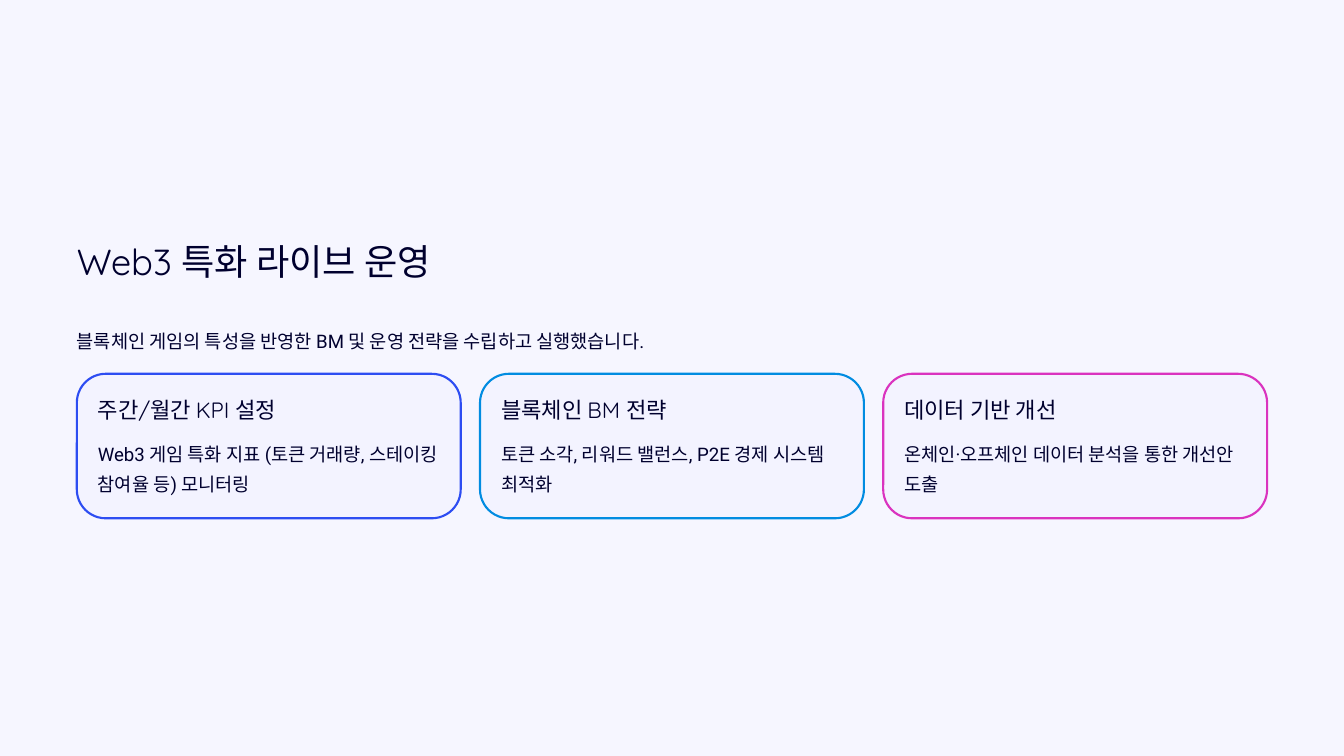
from lxml import etree
from pptx import Presentation
from pptx.dml.color import RGBColor
from pptx.enum.shapes import MSO_SHAPE
from pptx.enum.text import MSO_ANCHOR, PP_ALIGN
from pptx.oxml.ns import qn
from pptx.util import Inches, Pt

ROUNDED = MSO_SHAPE.ROUNDED_RECTANGLE
TOP = MSO_ANCHOR.TOP
LEFT = PP_ALIGN.LEFT

HEADING_FONT = "Quicksand"
BODY_FONT = "Roboto"
INK = "00002E"
PAGE = "F6F6FF"
CARD = "F3F3FF"

MARGIN = 0.915
CONTENT_W = 14.17
CARD_TOP = 4.45
CARD_STEP = 4.8
CARD_W, CARD_H = 4.57, 1.72
PAD = 0.25

CARDS = [
    ("주간/월간 KPI 설정",
     "Web3 게임 특화 지표 (토큰 거래량, 스테이킹 참여율 등) 모니터링", "2D4DF2"),
    ("블록체인 BM 전략",
     "토큰 소각, 리워드 밸런스, P2E 경제 시스템 최적화", "018CE1"),
    ("데이터 기반 개선",
     "온체인·오프체인 데이터 분석을 통한 개선안 도출", "DA33BF"),
]


def color(value):
    return RGBColor.from_string(value)


def add_text(s, text, x, y, w, h, *, size, spacing, font=BODY_FONT):
    """Add a one-paragraph text box without insets; spacing is the line pitch in points."""
    tf = s.shapes.add_textbox(Inches(x), Inches(y), Inches(w), Inches(h)).text_frame
    tf.margin_left = tf.margin_right = tf.margin_top = tf.margin_bottom = 0
    tf.word_wrap = True
    tf.vertical_anchor = TOP
    p = tf.paragraphs[0]
    p.alignment = LEFT
    p.line_spacing = Pt(spacing)
    r = p.add_run()
    r.text = text
    r.font.name = font
    r.font.size = Pt(size)
    r.font.color.rgb = color(INK)


def set_opacity(sp, percent):
    fill = sp.fill._xPr.find(qn("a:solidFill"))
    etree.SubElement(fill[0], qn("a:alpha"), val=str(percent * 1000))


def add_card(s, x, title, body, accent):
    sp = s.shapes.add_shape(ROUNDED, Inches(x), Inches(CARD_TOP),
                            Inches(CARD_W), Inches(CARD_H))
    sp.adjustments[0] = 0.2
    sp.shadow.inherit = False
    sp.fill.solid()
    sp.fill.fore_color.rgb = color(CARD)
    set_opacity(sp, 75)
    sp.line.color.rgb = color(accent)
    sp.line.width = Pt(1.8)
    add_text(s, title, x + PAD, CARD_TOP + PAD, 2.69, 0.34,
             size=19, spacing=24, font=HEADING_FONT)
    add_text(s, body, x + PAD, 5.18, 4.06, 0.73, size=16, spacing=26)


def main():
    prs = Presentation()
    prs.slide_width, prs.slide_height = Inches(16), Inches(9)
    s = prs.slides.add_slide(prs.slide_layouts[6])
    s.background.fill.solid()
    s.background.fill.fore_color.rgb = color(PAGE)

    add_text(s, "Web3 특화 라이브 운영", MARGIN, 2.83, 5, 0.54,
             size=31, spacing=38.5, font=HEADING_FONT)
    add_text(s, "블록체인 게임의 특성을 반영한 BM 및 운영 전략을 수립하고 실행했습니다.",
             MARGIN, 3.83, CONTENT_W, 0.37, size=16, spacing=26)
    for i, (title, body, accent) in enumerate(CARDS):
        add_card(s, MARGIN + i * CARD_STEP, title, body, accent)

    prs.save("out.pptx")


if __name__ == "__main__":
    main()
